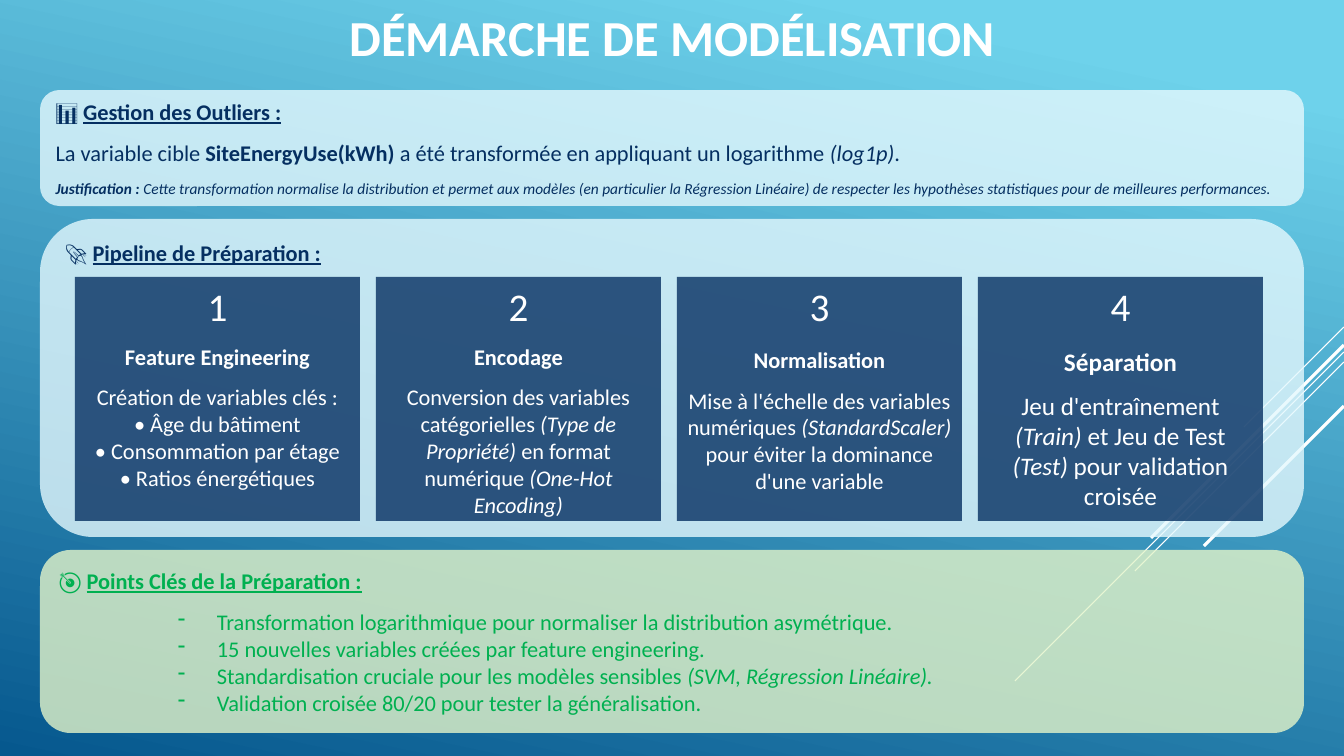
from dataclasses import dataclass

from lxml import etree
from pptx import Presentation
from pptx import util as u
from pptx.dml.color import RGBColor
from pptx.enum import shapes, text
from pptx.oxml.ns import qn

EMU_PER_PX = 12192000 / 1344
FONT = "Calibri"
WHITE, NAVY, GREEN = "FFFFFF", "052F61", "00B050"
ICE, LIME = "E4F8FD", "E3F4C9"
SKY, DEEP_BLUE = "6ED2EB", "06588E"
PANEL_LEFT, PANEL_WIDTH = 40, 1264
CARD_LEFT, CARD_TOP, CARD_WIDTH, CARD_HEIGHT, CARD_STEP = 75, 277, 285, 244, 301
BULLET_MARGIN, BULLET_HANG = 158, 39
GAP, WIDE_GAP = 9.8, 12.2


@dataclass
class Run:
    text: str
    bold: bool = False
    italic: bool = False
    underline: bool = False


@dataclass
class Para:
    runs: list[Run]
    size: int = 16
    before: float = 0
    bullet: bool = False


@dataclass
class Block:
    """A translucent filled shape with its text."""
    kind: shapes.MSO_SHAPE
    box: tuple[int, int, int, int]
    fill: str
    color: str
    paras: list[Para]
    align: text.PP_ALIGN = text.PP_ALIGN.LEFT
    anchor: text.MSO_ANCHOR = text.MSO_ANCHOR.TOP


@dataclass
class Card:
    heading: str
    body: list[Run]
    size: int = 16
    heading_gap: float = GAP


@dataclass
class Ray:
    """A 45° line running down and left from the right edge."""
    top: int
    reach: int
    weight: float


def px(length: int) -> u.Emu:
    return u.Emu(round(length * EMU_PER_PX))


def rgb(color: str) -> RGBColor:
    return RGBColor.from_string(color)


def add_bullet(paragraph) -> None:
    props = paragraph._p.get_or_add_pPr()
    props.set("marL", str(px(BULLET_MARGIN)))
    props.set("indent", str(px(-BULLET_HANG)))
    etree.SubElement(props, qn("a:buChar")).set("char", "-")


def write(frame, paras: list[Para], color: str, align: text.PP_ALIGN) -> None:
    for index, para in enumerate(paras):
        paragraph = frame.add_paragraph() if index else frame.paragraphs[0]
        paragraph.alignment = align
        if para.before:
            paragraph.space_before = u.Pt(para.before)
        if para.bullet:
            add_bullet(paragraph)
        for part in para.runs:
            for number, line in enumerate(part.text.split("\n")):
                if number:
                    paragraph.add_line_break()
                run = paragraph.add_run()
                run.text = line
                font = run.font
                font.name, font.size = FONT, u.Pt(para.size)
                font.bold, font.italic = part.bold, part.italic
                font.underline = part.underline
                font.color.rgb = rgb(color)


def draw_block(slide, block: Block) -> None:
    shape = slide.shapes.add_shape(block.kind, *map(px, block.box))
    shape.shadow.inherit = False
    shape.fill.solid()
    shape.fill.fore_color.rgb = rgb(block.fill)
    tint = shape.element.spPr.find(".//" + qn("a:srgbClr"))
    etree.SubElement(tint, qn("a:alpha")).set("val", "80000")
    shape.line.fill.background()
    frame = shape.text_frame
    frame.word_wrap = True
    frame.vertical_anchor = block.anchor
    write(frame, block.paras, block.color, block.align)


def draw_ray(slide, ray: Ray) -> None:
    line = slide.shapes.add_connector(
        shapes.MSO_CONNECTOR.STRAIGHT, px(1344), px(ray.top),
        px(1344 - ray.reach), px(ray.top + ray.reach))
    line.line.color.rgb = rgb(WHITE)
    line.line.width = u.Pt(ray.weight)
    etree.SubElement(line.element.spPr, qn("a:effectLst"))


def panel(top: int, height: int, fill: str, color: str, paras: list[Para],
          anchor: text.MSO_ANCHOR = text.MSO_ANCHOR.MIDDLE) -> Block:
    return Block(shapes.MSO_SHAPE.ROUNDED_RECTANGLE, (PANEL_LEFT, top, PANEL_WIDTH, height),
                 fill, color, paras, anchor=anchor)


def card_block(index: int, card: Card) -> Block:
    paras = [Para([Run(str(index + 1))], 28),
             Para([Run(card.heading, bold=True)], card.size, card.heading_gap),
             Para(card.body, card.size, GAP)]
    left = CARD_LEFT + index * CARD_STEP
    return Block(shapes.MSO_SHAPE.RECTANGLE, (left, CARD_TOP, CARD_WIDTH, CARD_HEIGHT),
                 NAVY, WHITE, paras, text.PP_ALIGN.CENTER)


def heading(icon: str, label: str) -> Para:
    return Para([Run(icon + " ", bold=True), Run(label, bold=True, underline=True)])


RAYS = [Ray(327, 100, 0.75), Ray(352, 329, 0.75), Ray(362, 209, 0.75),
        Ray(345, 193, 2.25), Ray(406, 140, 2.25)]

OUTLIERS = [
    heading("📊", "Gestion des Outliers :"),
    Para([Run("La variable cible "), Run("SiteEnergyUse(kWh) ", bold=True),
          Run("a été transformée en appliquant un logarithme "),
          Run("(log1p)", italic=True), Run(".")], before=GAP),
    Para([Run("Justification :", bold=True, italic=True),
          Run(" Cette transformation normalise la distribution et permet aux modèles "
              "(en particulier la Régression Linéaire) de respecter les hypothèses "
              "statistiques pour de meilleures performances.", italic=True)], 11, GAP),
]

CARDS = [
    Card("Feature Engineering",
         [Run("Création de variables clés :\n• Âge du bâtiment\n"
              "• Consommation par étage\n• Ratios énergétiques")]),
    Card("Encodage",
         [Run("Conversion des variables catégorielles "),
          Run("(Type de Propriété) ", italic=True), Run("en format numérique "),
          Run("(One-Hot Encoding)", italic=True)]),
    Card("Normalisation",
         [Run("Mise à l'échelle des variables numériques "),
          Run("(StandardScaler) ", italic=True),
          Run("pour éviter la dominance d'une variable")], heading_gap=WIDE_GAP),
    Card("Séparation",
         [Run("Jeu d'entraînement "), Run("(Train)", italic=True),
          Run(" et Jeu de Test "), Run("(Test) ", italic=True),
          Run("pour validation croisée")], 18, WIDE_GAP),
]

KEY_POINTS = [
    [Run("Transformation logarithmique pour normaliser la distribution asymétrique.")],
    [Run("15 nouvelles variables créées par feature engineering.")],
    [Run("Standardisation cruciale pour les modèles sensibles "),
     Run("(SVM, Régression Linéaire).", italic=True)],
    [Run("Validation croisée 80/20 pour tester la généralisation.")],
]


def main() -> None:
    deck = Presentation()
    deck.slide_width, deck.slide_height = px(1344), px(756)
    slide = deck.slides.add_slide(deck.slide_layouts[5])

    sky = slide.background.fill
    sky.gradient()
    sky.gradient_angle = 360 - 102
    for stop, color, position in zip(sky.gradient_stops, (SKY, DEEP_BLUE), (0.1, 1)):
        stop.color.rgb = rgb(color)
        stop.position = position

    title = slide.shapes.title
    title.left, title.top, title.width, title.height = map(px, (336, 0, 673, 72))
    title.text_frame.word_wrap = False
    title.text_frame.vertical_anchor = text.MSO_ANCHOR.MIDDLE
    write(title.text_frame, [Para([Run("DÉMARCHE DE MODÉLISATION", bold=True)], 36)],
          WHITE, text.PP_ALIGN.CENTER)

    for ray in RAYS:
        draw_ray(slide, ray)

    points = [Para(runs, before=0 if index else GAP, bullet=True)
              for index, runs in enumerate(KEY_POINTS)]
    blocks = [
        panel(90, 116, ICE, NAVY, OUTLIERS),
        panel(219, 318, ICE, NAVY, [heading("🚀", "Pipeline de Préparation :")],
              text.MSO_ANCHOR.TOP),
        *(card_block(index, card) for index, card in enumerate(CARDS)),
        panel(550, 183, LIME, GREEN,
              [heading("🎯", "Points Clés de la Préparation :"), *points]),
    ]
    for block in blocks:
        draw_block(slide, block)
    deck.save("out.pptx")


if __name__ == "__main__":
    main()
